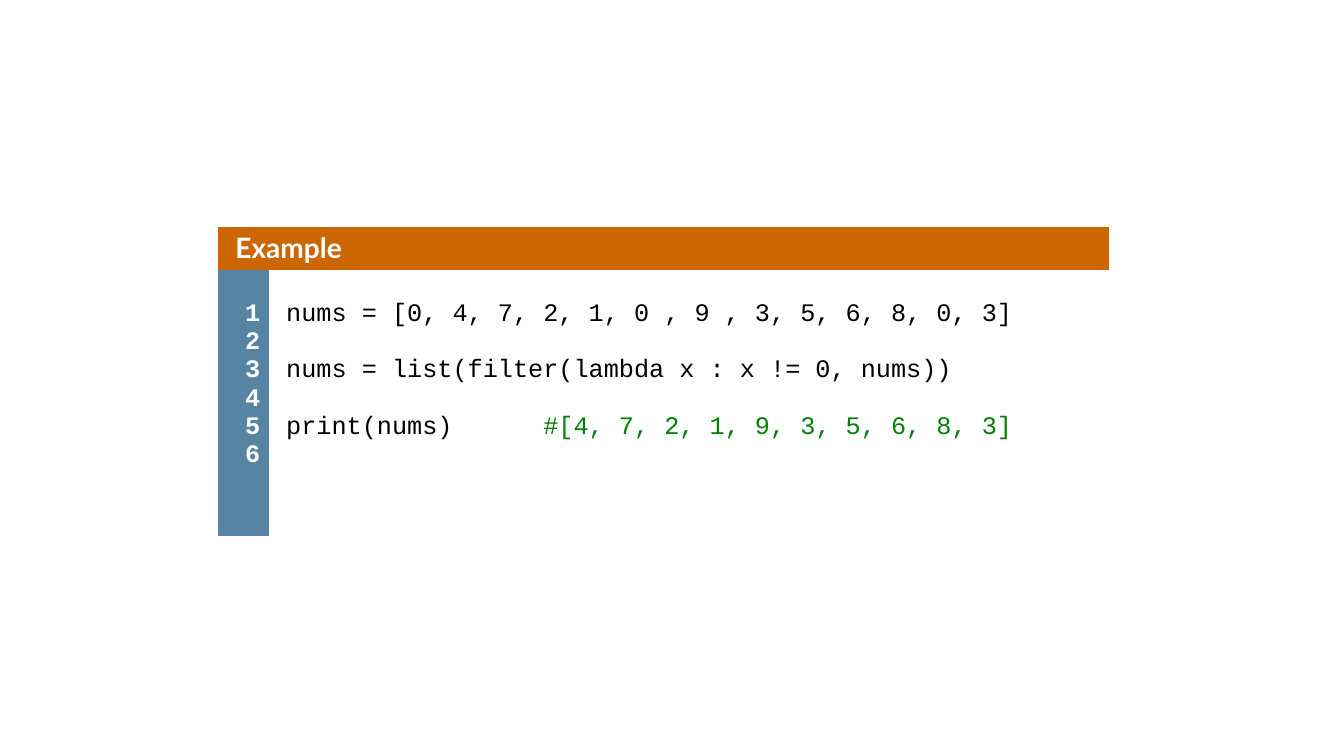
from pptx import Presentation
from pptx.dml.color import RGBColor as RGB
from pptx.enum.text import PP_ALIGN as ALIGN
from pptx.oxml.ns import qn
from pptx.util import Pt

COLORS = {"orange": "CC6600", "blue": "5784A3", "white": "FFFFFF",
          "black": "000000", "green": "008000"}
NO_STYLE = "{2D5ABB26-0587-4C30-8999-92F81FD0307C}"
HEADER_H, GUTTER_W = 31, 36.3
INDENT = 8.6
LINE_GAP = 4.5
LINE_PITCH = 20.2

CODE = [
    (1, [("nums = [0, 4, 7, 2, 1, 0 , 9 , 3, 5, 6, 8, 0, 3]", "black")]),
    (3, [("nums = list(filter(lambda x : x != 0, nums))", "black")]),
    (5, [("print(nums)      ", "black"),
         ("#[4, 7, 2, 1, 9, 3, 5, 6, 8, 3]", "green")]),
]
NUMBERS = [(n, [(str(n), "white")]) for n in range(1, 7)]


def style_cell(cell, fill, margins):
    cell.fill.solid()
    cell.fill.fore_color.rgb = RGB.from_string(COLORS[fill])
    (cell.margin_left, cell.margin_top,
     cell.margin_right, cell.margin_bottom) = map(Pt, margins)


def add_lines(cell, lines, font, size, spacing, bold=False, align=ALIGN.LEFT):
    tf = cell.text_frame
    previous = None
    for number, runs in lines:
        p = tf.paragraphs[0] if previous is None else tf.add_paragraph()
        p.alignment = align
        p.line_spacing = spacing
        if previous is not None:
            p.space_before = Pt(LINE_GAP + (number - previous - 1) * LINE_PITCH)
        pPr = p._p.get_or_add_pPr()
        pPr.set("marL", str(Pt(INDENT)))
        pPr.set("indent", "0")
        for text, color in runs:
            r = p.add_run()
            r.text = text
            r.font.name = font
            r.font.size = Pt(size)
            r.font.bold = bold
            r.font.color.rgb = RGB.from_string(COLORS[color])
        previous = number


def add_code_listing(slide, left, top, width, height):
    frame = slide.shapes.add_table(2, 2, Pt(left), Pt(top), Pt(width), Pt(height))
    table = frame.table
    table.first_row = table.horz_banding = False
    table._tbl.tblPr.find(qn("a:tableStyleId")).text = NO_STYLE
    table.columns[0].width = Pt(GUTTER_W)
    table.columns[1].width = Pt(width - GUTTER_W)
    table.rows[0].height = Pt(HEADER_H)
    table.rows[1].height = Pt(height - HEADER_H)

    header, gutter, code = table.cell(0, 0), table.cell(1, 0), table.cell(1, 1)
    header.merge(table.cell(0, 1))
    style_cell(header, "orange", (3.6, 4.3, 3.6, 3.6))
    style_cell(gutter, "blue", (3.6, 23.8, 6.5, 16.6))
    style_cell(code, "white", (3.6, 23.8, 13, 16.6))

    add_lines(header, [(1, [("Example", "white")])], "Lato", 20, 0.96, bold=True)
    add_lines(gutter, NUMBERS, "Courier New", 18, 0.77, bold=True, align=ALIGN.RIGHT)
    add_lines(code, CODE, "Courier New", 18, 0.77)


def main():
    prs = Presentation()
    prs.slide_width, prs.slide_height = Pt(960), Pt(540)
    slide = prs.slides.add_slide(prs.slide_layouts[6])
    add_code_listing(slide, 156, 162, 636.3, 221)
    prs.save("out.pptx")


if __name__ == "__main__":
    main()
